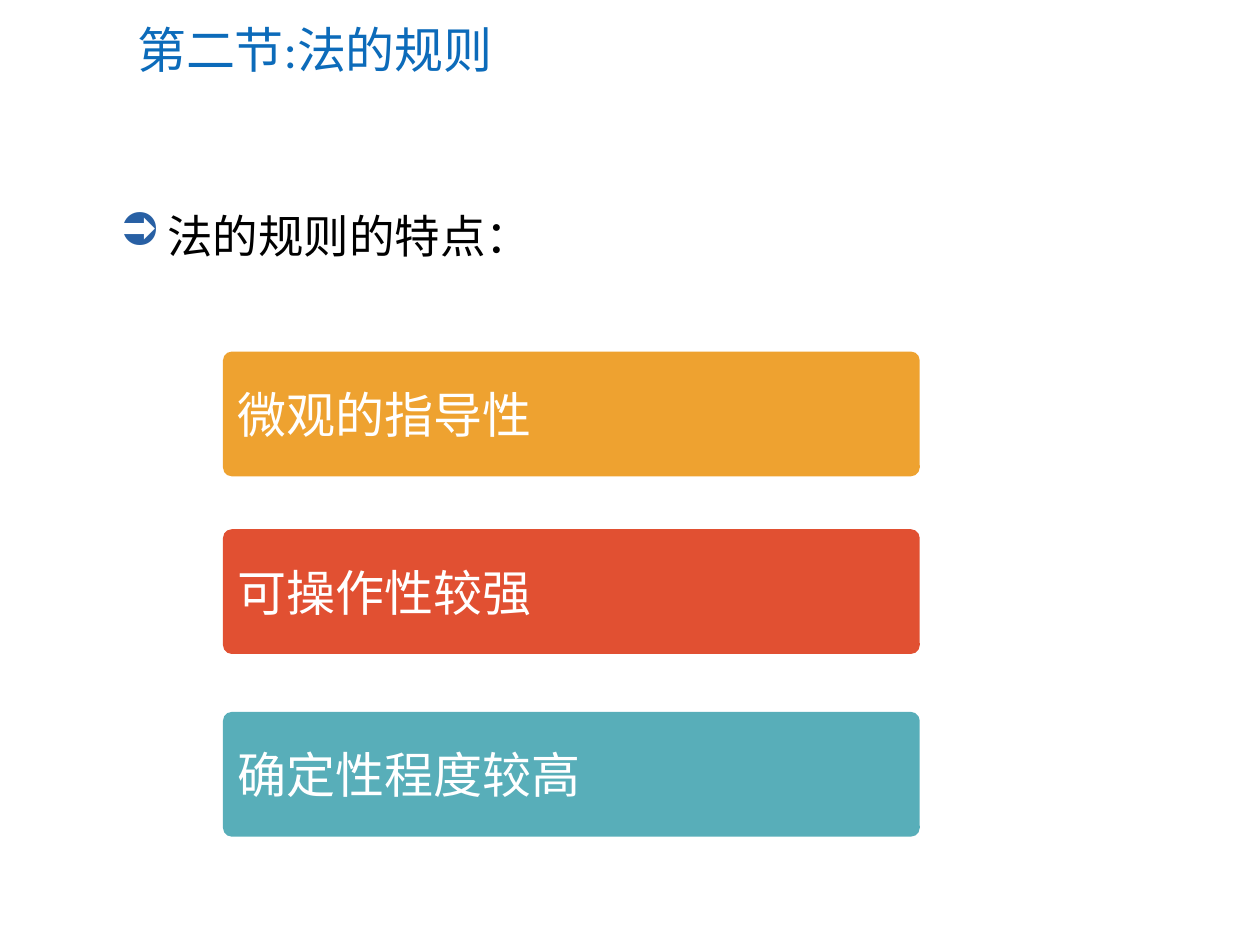
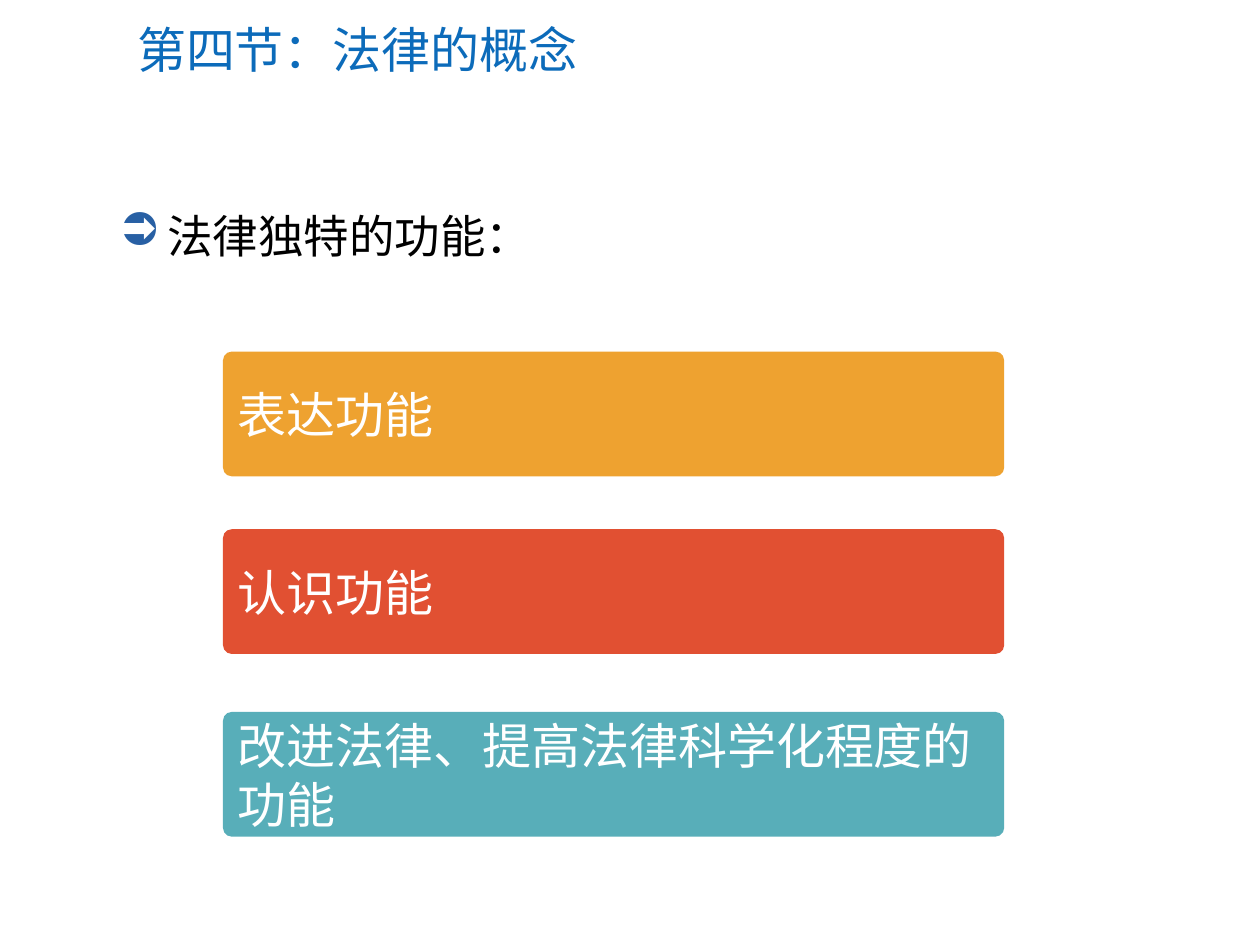
"""Builds two slides on legal rules and legal concepts, each with three coloured bars."""
import pptx
import pptx.dml.color
import pptx.enum.shapes
import pptx.enum.text
import pptx.util
from lxml import etree

SLIDES = [
    {"title": "第二节:法的规则", "lead": "法的规则的特点：", "bar_width": 5.53,
     "bars": ["微观的指导性", "可操作性较强", "确定性程度较高"]},
    {"title": "第四节：法律的概念", "lead": "法律独特的功能：", "bar_width": 6.2,
     "bars": ["表达功能", "认识功能", "改进法律、提高法律科学化程度的功能"]},
]
FONT = "Calibri"
TITLE_BLUE, BULLET_BLUE, BLACK, WHITE = "0C6BBA", "2860A4", "000000", "FFFFFF"
BAR_COLOURS = ["EEA230", "E15032", "58AEB9"]
BAR_TOPS = [2.79, 4.2, 5.65]
BAR_LEFT, BAR_HEIGHT, BAR_ROUNDING = 1.77, 0.99, 0.07
TITLE_AREA = (0.99, 0.1, 8.72, 0.58)
LEAD_AREA = (0.85, 1.6, 6.46, 0.61)
LEAD_INDENT = 0.38
BULLET = "➲"
MIDDLE = pptx.enum.text.MSO_ANCHOR.MIDDLE
TOP = pptx.enum.text.MSO_ANCHOR.TOP


def colour(hex_code):
    return pptx.dml.color.RGBColor.from_string(hex_code)


def inches(area):
    return [pptx.util.Inches(length) for length in area]


def add_bullet(para):
    properties = para._p.get_or_add_pPr()
    indent = pptx.util.Inches(LEAD_INDENT)
    properties.set("marL", str(indent))
    properties.set("indent", str(-indent))
    tag = pptx.oxml.ns.qn
    bullet_colour = etree.SubElement(properties, tag("a:buClr"))
    etree.SubElement(bullet_colour, tag("a:srgbClr"), val=BULLET_BLUE)
    etree.SubElement(properties, tag("a:buChar"), char=BULLET)


def write(shape, text, size, hex_code, anchor=MIDDLE, bulleted=False):
    frame = shape.text_frame
    frame.word_wrap = True
    frame.vertical_anchor = anchor
    para = frame.paragraphs[0]
    para.text = text
    para.alignment = pptx.enum.text.PP_ALIGN.LEFT
    if bulleted:
        add_bullet(para)
    para.font.name = FONT
    para.font.size = pptx.util.Pt(size)
    para.font.color.rgb = colour(hex_code)


def add_bar(page, text, top, width, fill):
    area = inches((BAR_LEFT, top, width, BAR_HEIGHT))
    bar = page.shapes.add_shape(pptx.enum.shapes.MSO_SHAPE.ROUNDED_RECTANGLE, *area)
    bar.adjustments[0] = BAR_ROUNDING
    bar.shadow.inherit = False
    bar.fill.solid()
    bar.fill.fore_color.rgb = colour(fill)
    bar.line.fill.background()
    write(bar, text, 28, WHITE)


def add_page(deck, content):
    page = deck.slides.add_slide(deck.slide_layouts[6])
    title = page.shapes.add_textbox(*inches(TITLE_AREA))
    write(title, content["title"], 28, TITLE_BLUE)
    lead = page.shapes.add_textbox(*inches(LEAD_AREA))
    write(lead, content["lead"], 26, BLACK, TOP, bulleted=True)
    for text, top, fill in zip(content["bars"], BAR_TOPS, BAR_COLOURS):
        add_bar(page, text, top, content["bar_width"], fill)


def main():
    deck = pptx.Presentation()
    deck.slide_width, deck.slide_height = inches((10, 7.5))
    for content in SLIDES:
        add_page(deck, content)
    deck.save("out.pptx")


if __name__ == "__main__":
    main()
